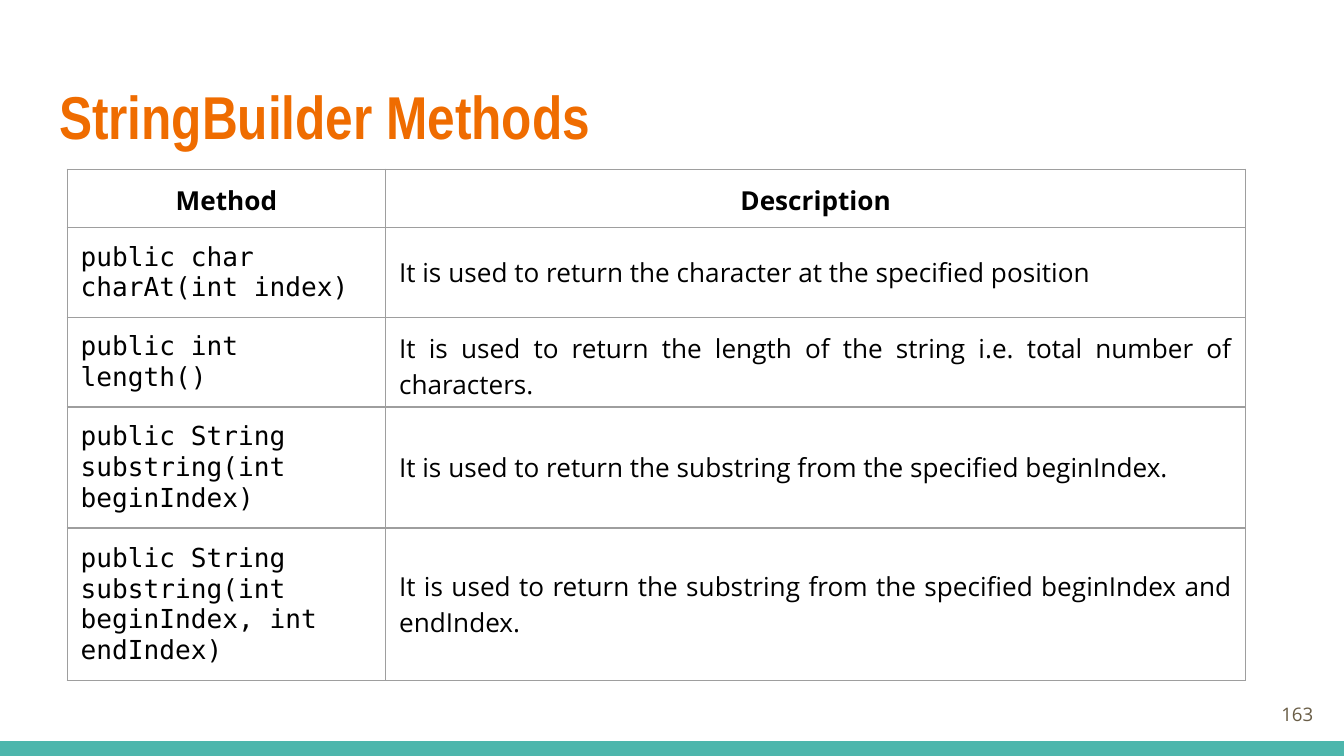
"""Build a slide with a table of StringBuilder methods."""
from lxml.etree import SubElement
from pptx import Presentation
from pptx.dml.color import RGBColor
from pptx.enum.shapes import MSO_SHAPE
from pptx.enum.text import MSO_ANCHOR, MSO_AUTO_SIZE, PP_ALIGN
from pptx.oxml.ns import qn
from pptx.util import Inches, Pt

TITLE = "StringBuilder Methods"
PAGE_NUMBER = "163"
HEADERS = ("Method", "Description")
METHODS = [
    ("public char charAt(int index)",
     "It is used to return the character at the specified position"),
    ("public int length()",
     "It is used to return the length of the string i.e. total number of characters."),
    ("public String substring(int beginIndex)",
     "It is used to return the substring from the specified beginIndex."),
    ("public String substring(int beginIndex, int endIndex)",
     "It is used to return the substring from the specified beginIndex and endIndex."),
]
COLUMN_WIDTHS = (2.37, 6.4)
ROW_HEIGHT = 0.42
SLIDE_WIDTH = 10
SLIDE_HEIGHT = SLIDE_WIDTH * 9 / 16
BAR_HEIGHT = 0.11
INSET = Inches(0.1)

THEME = {
    "heading_font": "Arial Narrow", "code_font": "DejaVu Sans Mono", "body_font": "Open Sans",
    "title_size": 32.4, "table_size": 14, "page_size": 10, "border_width": 0.75,
    "title": "EF6C00", "text": "000000", "page": "695D46",
    "bar": "4DB6AC", "border": "9E9E9E", "background": "FFFFFF",
}


def color(name):
    return RGBColor.from_string(THEME[name])


def set_text(text_frame, text, font, size, color_name, align, bold=False):
    text_frame.text = text
    text_frame.word_wrap = True
    paragraph = text_frame.paragraphs[0]
    paragraph.alignment = align
    run_font = paragraph.runs[0].font
    run_font.name = THEME[font]
    run_font.size = Pt(THEME[size])
    run_font.bold = bold
    run_font.color.rgb = color(color_name)


def set_frame(frame, anchor=MSO_ANCHOR.MIDDLE):
    frame.margin_left = frame.margin_right = INSET
    frame.margin_top = frame.margin_bottom = INSET
    frame.vertical_anchor = anchor


def set_borders(cell):
    properties = cell._tc.get_or_add_tcPr()
    for side in ("a:lnL", "a:lnR", "a:lnT", "a:lnB"):
        line = SubElement(properties, qn(side), w=str(Pt(THEME["border_width"])))
        fill = SubElement(line, qn("a:solidFill"))
        SubElement(fill, qn("a:srgbClr"), val=THEME["border"])


def add_bar(slide):
    bar = slide.shapes.add_shape(
        MSO_SHAPE.RECTANGLE, 0, Inches(SLIDE_HEIGHT - BAR_HEIGHT),
        Inches(SLIDE_WIDTH), Inches(BAR_HEIGHT))
    bar.shadow.inherit = False
    bar.fill.solid()
    bar.fill.fore_color.rgb = color("bar")
    bar.line.fill.background()


def add_title(slide):
    title = slide.shapes.title
    title.left, title.top = Inches(0.34), Inches(0.49)
    title.width, title.height = Inches(9.32), Inches(0.77)
    set_text(title.text_frame, TITLE, "heading_font", "title_size", "title",
             PP_ALIGN.LEFT, True)
    title.text_frame.auto_size = MSO_AUTO_SIZE.NONE
    set_frame(title.text_frame, MSO_ANCHOR.TOP)


def add_page_number(slide):
    box = slide.shapes.add_textbox(Inches(9.27), Inches(5.1), Inches(0.6), Inches(0.43))
    set_text(box.text_frame, PAGE_NUMBER, "body_font", "page_size", "page", PP_ALIGN.RIGHT)
    set_frame(box.text_frame)


def add_methods_table(slide):
    rows = [HEADERS, *METHODS]
    table = slide.shapes.add_table(
        len(rows), len(HEADERS), Inches(0.5), Inches(1.26),
        Inches(sum(COLUMN_WIDTHS)), Inches(ROW_HEIGHT * len(rows))).table
    table.first_row = table.horz_banding = False
    for column, width in zip(table.columns, COLUMN_WIDTHS):
        column.width = Inches(width)
    for row in table.rows:
        row.height = Inches(ROW_HEIGHT)
    column_styles = (("code_font", PP_ALIGN.LEFT), ("body_font", PP_ALIGN.JUSTIFY))
    for row_index, values in enumerate(rows):
        is_header = row_index == 0
        for column_index, value in enumerate(values):
            cell = table.cell(row_index, column_index)
            font, align = column_styles[column_index]
            if is_header:
                font, align = "body_font", PP_ALIGN.CENTER
            set_text(cell.text_frame, value, font, "table_size", "text", align, is_header)
            set_frame(cell)
            set_borders(cell)
            cell.fill.background()


def main():
    presentation = Presentation()
    presentation.slide_width = Inches(SLIDE_WIDTH)
    presentation.slide_height = Inches(SLIDE_HEIGHT)
    slide = presentation.slides.add_slide(presentation.slide_layouts[5])
    slide.background.fill.solid()
    slide.background.fill.fore_color.rgb = color("background")
    add_bar(slide)
    add_title(slide)
    add_page_number(slide)
    add_methods_table(slide)
    presentation.save("out.pptx")


if __name__ == "__main__":
    main()
